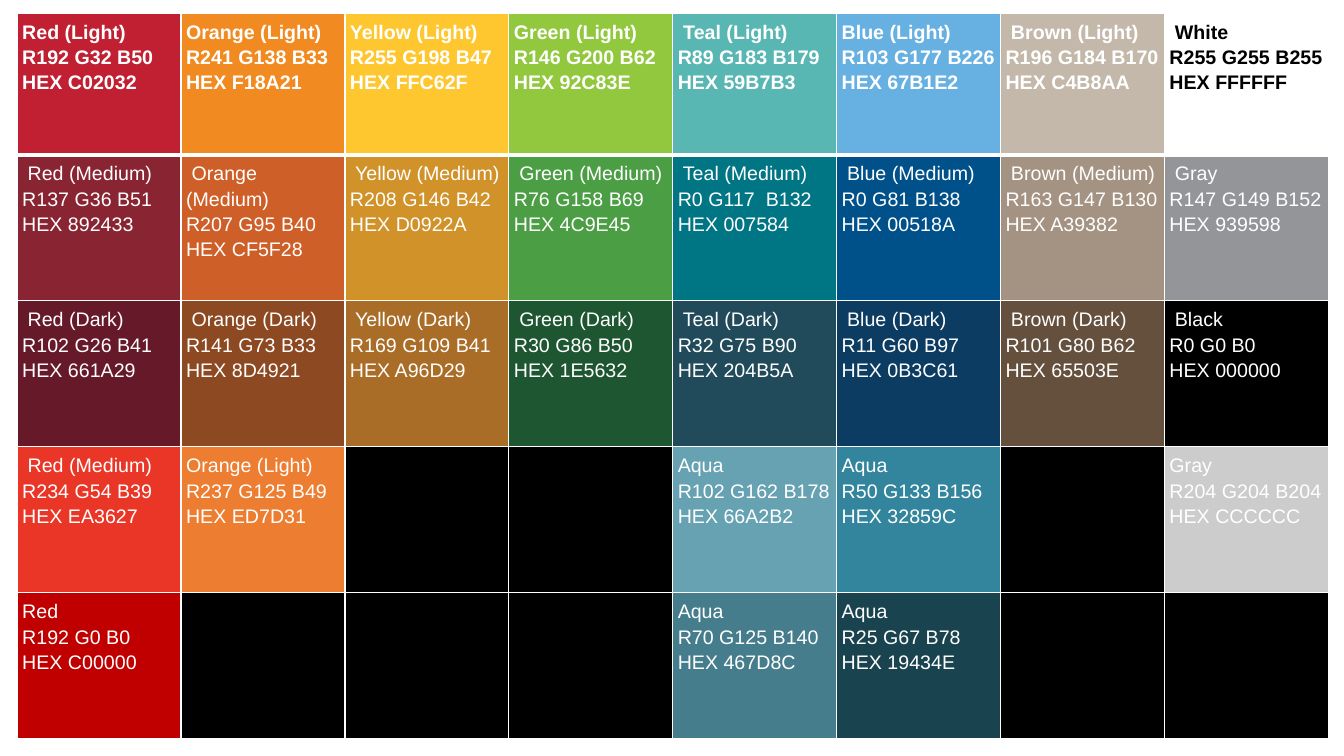
from lxml import etree
from pptx import Presentation
from pptx.dml.color import RGBColor
from pptx.oxml.ns import qn
from pptx.util import Pt

# Content: one (name, hex code) per swatch, None for an unused cell
SWATCHES = [
    [("Red (Light)", "C02032"), ("Orange (Light)", "F18A21"),
     ("Yellow (Light)", "FFC62F"), ("Green (Light)", "92C83E"),
     (" Teal (Light)", "59B7B3"), ("Blue (Light)", "67B1E2"),
     (" Brown (Light)", "C4B8AA"), (" White", "FFFFFF")],
    [(" Red (Medium)", "892433"), (" Orange (Medium)", "CF5F28"),
     (" Yellow (Medium)", "D0922A"), (" Green (Medium)", "4C9E45"),
     (" Teal (Medium)", "007584"), (" Blue (Medium)", "00518A"),
     (" Brown (Medium)", "A39382"), (" Gray", "939598")],
    [(" Red (Dark)", "661A29"), (" Orange (Dark)", "8D4921"),
     (" Yellow (Dark)", "A96D29"), (" Green (Dark)", "1E5632"),
     (" Teal (Dark)", "204B5A"), (" Blue (Dark)", "0B3C61"),
     (" Brown (Dark)", "65503E"), (" Black", "000000")],
    [(" Red (Medium)", "EA3627"), ("Orange (Light)", "ED7D31"), None, None,
     ("Aqua", "66A2B2"), ("Aqua", "32859C"), None, ("Gray", "CCCCCC")],
    [("Red", "C00000"), None, None, None,
     ("Aqua", "467D8C"), ("Aqua", "19434E"), None, None],
]
# Swatches whose fill differs slightly from the printed code
FILLS = {"FFC62F": "FFC72F", "92C83E": "91C83E", "D0922A": "D09229",
         "A39382": "A49382", "A96D29": "AA6D28", "204B5A": "214A5A",
         "0B3C61": "0C3C61", "65503E": "64503D"}
# Swatch whose RGB line is spaced differently
RGB_LINES = {"007584": "R0 G117  B132"}
WHITE, BLACK = "FFFFFF", "000000"

# Layout in points
LEFT, TOP = 12.24, 9.36
COLUMN_WIDTH = 117.09
HEADER_HEIGHT, ROW_HEIGHT = 101.2, 104.3
MARGIN = 3.6
THIN, THICK = 1, 3


def color(code):
    return RGBColor.from_string(code)


def rgb_line(code):
    red, green, blue = color(code)
    return RGB_LINES.get(code, f"R{red} G{green} B{blue}")


def set_borders(cell, widths):
    properties = cell._tc.get_or_add_tcPr()
    for position, (side, width) in enumerate(widths.items()):
        line = etree.Element(qn(f"a:{side}"), w=str(Pt(width)))
        fill = etree.SubElement(line, qn("a:solidFill"))
        etree.SubElement(fill, qn("a:srgbClr"), val=WHITE)
        properties.insert(position, line)


def write_swatch(cell, name, code, bold):
    cell.text = "\n".join([name, rgb_line(code), f"HEX {code}"])
    font_format = {"name": "Arial", "size": Pt(14), "bold": bold}
    for para in cell.text_frame.paragraphs:
        para.line_spacing = 1.15
        for span in para.runs:
            for key, value in font_format.items():
                setattr(span.font, key, value)
            span.font.color.rgb = color(BLACK if code == WHITE else WHITE)


def main():
    deck = Presentation()
    deck.slide_width, deck.slide_height = Pt(960), Pt(540)
    page = deck.slides.add_slide(deck.slide_layouts[6])

    # Palette grid
    row_count, column_count = len(SWATCHES), len(SWATCHES[0])
    heights = [HEADER_HEIGHT] + [ROW_HEIGHT] * (row_count - 1)
    palette = page.shapes.add_table(
        row_count, column_count, Pt(LEFT), Pt(TOP),
        Pt(COLUMN_WIDTH * column_count), Pt(sum(heights))).table
    palette.first_row = palette.horz_banding = False
    for column in palette.columns:
        column.width = Pt(COLUMN_WIDTH)
    for row, height in zip(palette.rows, heights):
        row.height = Pt(height)

    # Swatches, with a thick rule below the first row
    for row_index, swatches in enumerate(SWATCHES):
        borders = {"lnL": THIN, "lnR": THIN,
                   "lnT": THICK if row_index == 1 else THIN,
                   "lnB": THICK if row_index == 0 else THIN}
        for column_index, swatch in enumerate(swatches):
            cell = palette.cell(row_index, column_index)
            for side in ("left", "right", "top", "bottom"):
                setattr(cell, f"margin_{side}", Pt(MARGIN))
            code = swatch[1] if swatch else BLACK
            cell.fill.solid()
            cell.fill.fore_color.rgb = color(FILLS.get(code, code))
            set_borders(cell, borders)
            if swatch:
                write_swatch(cell, *swatch, bold=row_index == 0)

    deck.save("out.pptx")


if __name__ == "__main__":
    main()
